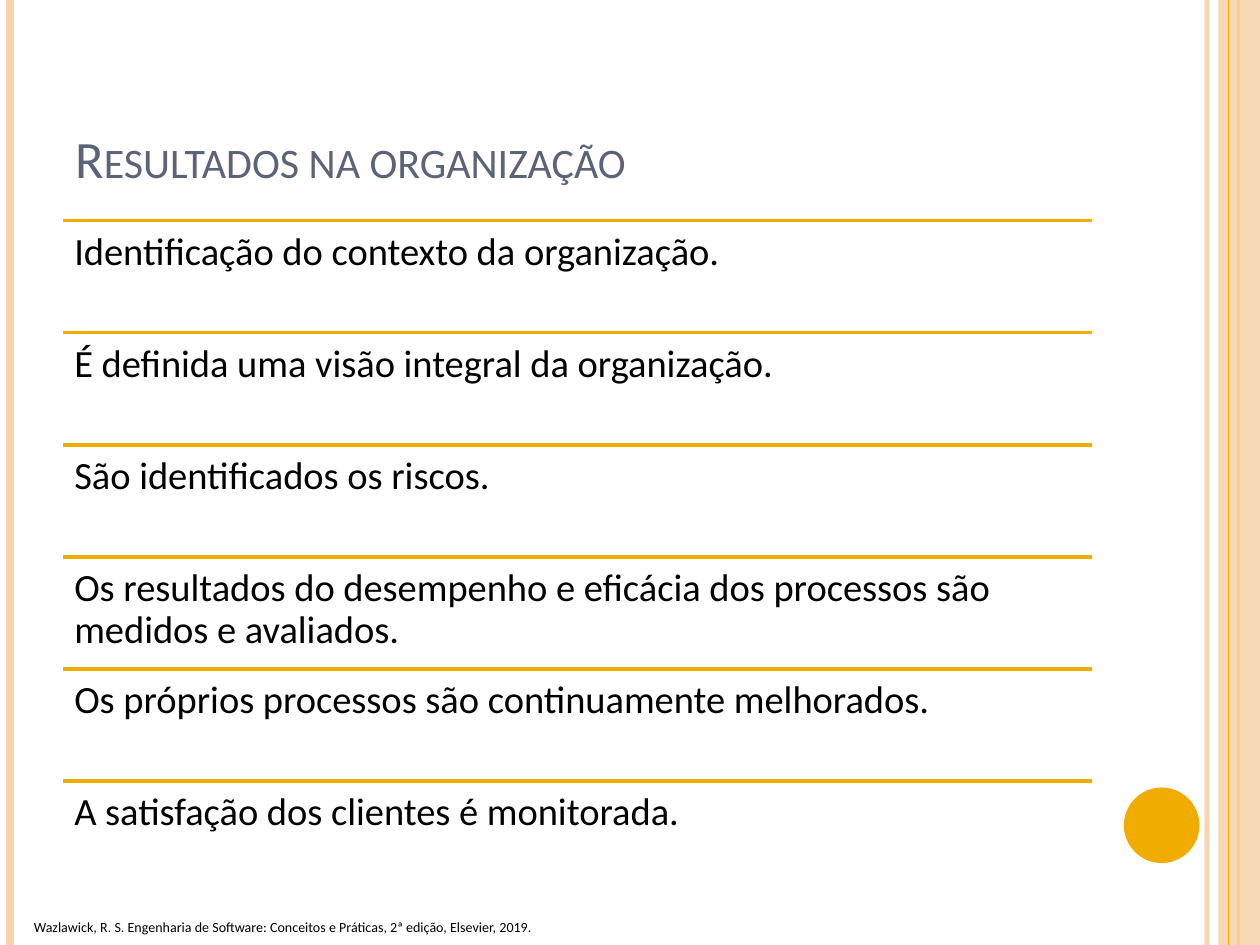
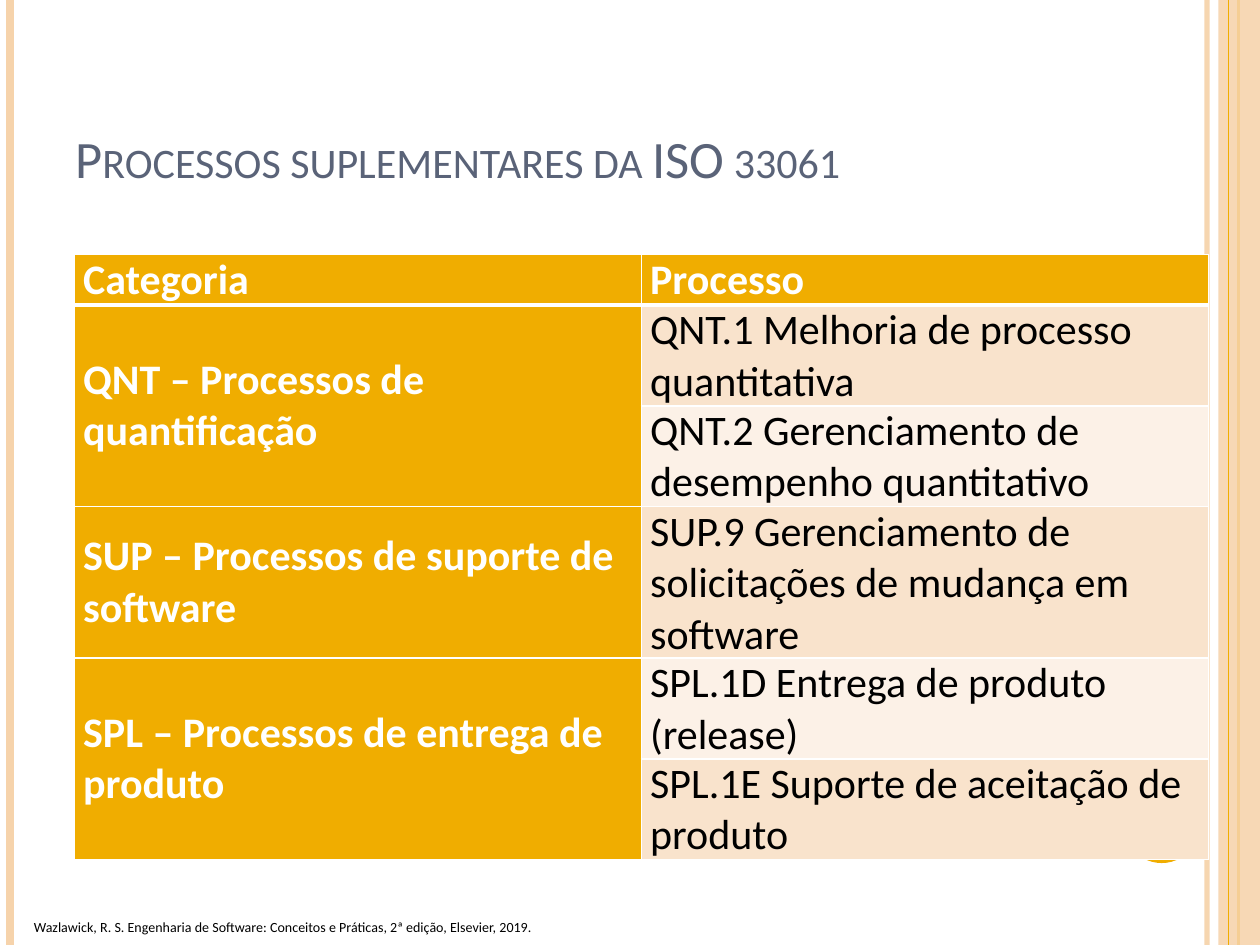
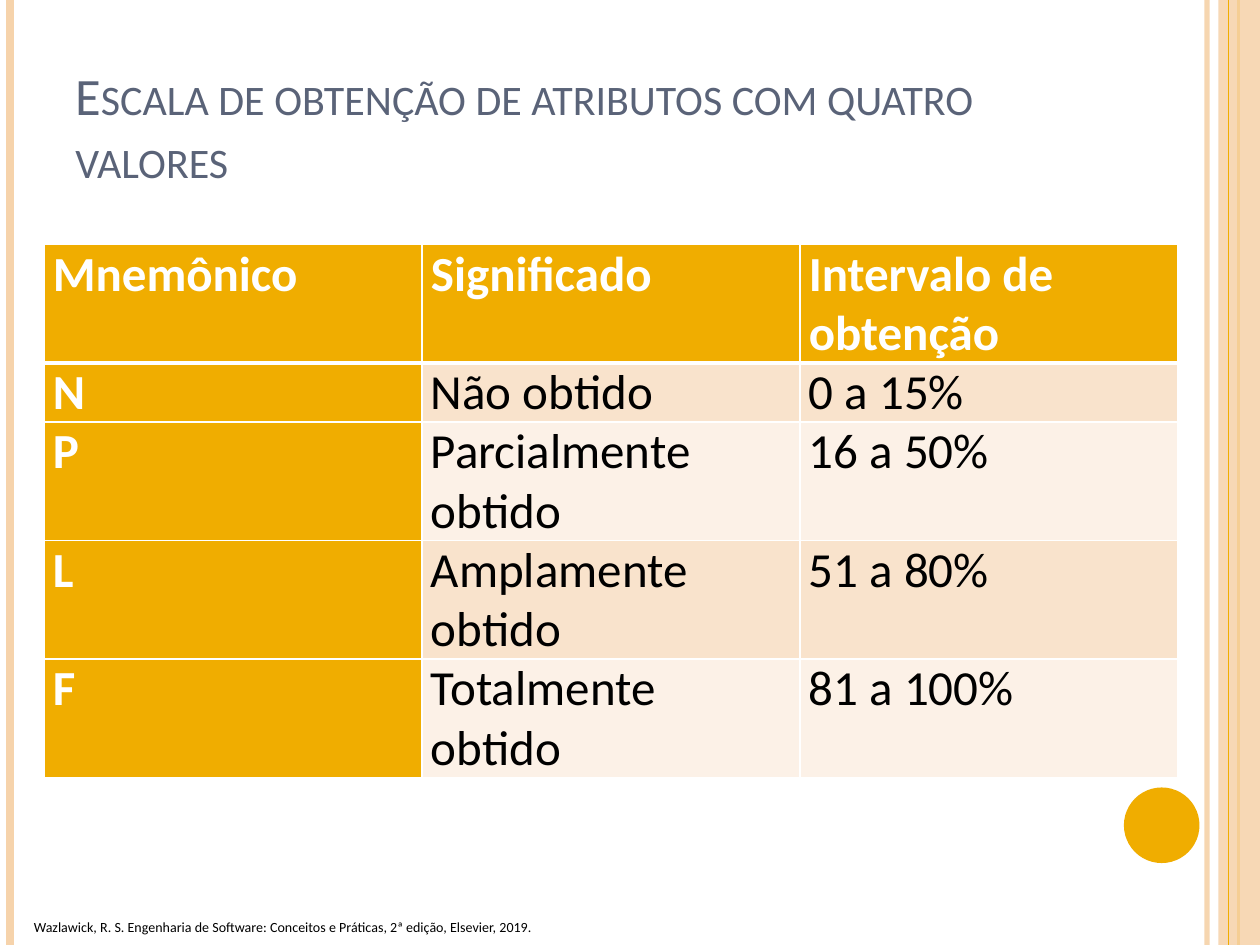
from lxml import etree
from pptx import Presentation
from pptx.dml.color import RGBColor
from pptx.enum.shapes import MSO_CONNECTOR, MSO_SHAPE
from pptx.enum.text import MSO_ANCHOR, MSO_AUTO_SIZE
from pptx.oxml.ns import qn
from pptx.util import Inches, Pt

COLORS = {
    "accent": "F0AD00",
    "peach": "F6D3AB",
    "title": "5A6378",
    "text": "000000",
    "white": "FFFFFF",
    "row_dark": "F9E3CC",
    "row_light": "FCF1E7",
}
FONT = "Calibri"
WIDTH, HEIGHT = 10, 7.5
LEFT, CONTENT_WIDTH = 0.5, 8.17
FOOTER = ("Wazlawick, R. S. Engenharia de Software: Conceitos e Práticas, "
          "2ª edição, Elsevier, 2019.")


def rgb(name):
    return RGBColor.from_string(COLORS[name])


def set_alpha(fill_parent, percent):
    color = fill_parent.find(".//" + qn("a:srgbClr"))
    etree.SubElement(color, qn("a:alpha"), val=str(percent * 1000))


class Deck:
    """Holds the shared style and the current slide."""

    def __init__(self):
        self.prs = Presentation()
        self.prs.slide_width = Inches(WIDTH)
        self.prs.slide_height = Inches(HEIGHT)
        self.slide = None

    def new_slide(self, title):
        self.slide = self.prs.slides.add_slide(self.prs.slide_layouts[6])
        # Side bands
        self.line(9.58, 0, 9.58, HEIGHT, "peach", 3, alpha=93)
        self.line(0.08, 0, 0.08, HEIGHT, "peach", 4.5)
        self.line(9.83, 0, 9.83, HEIGHT, "accent", 1.5)
        self.shape(MSO_SHAPE.RECTANGLE, 9.67, 0, 0.33, HEIGHT, "peach", alpha=87)
        self.line(9.75, 0, 9.75, HEIGHT, "accent", 0.75)
        self.shape(MSO_SHAPE.OVAL, 8.92, 6.25, 0.6, 0.6, "accent")
        # Footer and title
        footer = self.text(FOOTER, 0.17, 7.24, 4.83, 0.24, 8)
        footer.word_wrap = False
        footer.auto_size = MSO_AUTO_SIZE.SHAPE_TO_FIT_TEXT
        heading = self.text(title, LEFT, 0.3, CONTENT_WIDTH, 1.25, 30, "title")
        heading.vertical_anchor = MSO_ANCHOR.BOTTOM
        heading.paragraphs[0].runs[0]._r.get_or_add_rPr().set("cap", "small")

    def line(self, x1, y1, x2, y2, color, width, alpha=None):
        line = self.slide.shapes.add_connector(
            MSO_CONNECTOR.STRAIGHT, Inches(x1), Inches(y1), Inches(x2), Inches(y2))
        line.line.color.rgb = rgb(color)
        line.line.width = Pt(width)
        properties = line._element.spPr
        if alpha:
            set_alpha(properties, alpha)
        etree.SubElement(properties, qn("a:effectLst"))

    def shape(self, kind, x, y, w, h, color, alpha=None):
        shape = self.slide.shapes.add_shape(
            kind, Inches(x), Inches(y), Inches(w), Inches(h))
        shape.shadow.inherit = False
        shape.fill.solid()
        shape.fill.fore_color.rgb = rgb(color)
        shape.line.fill.background()
        if alpha:
            set_alpha(shape._element.spPr, alpha)

    def style(self, paragraph, size, color, bold=False):
        font = paragraph.font
        font.name, font.size, font.bold = FONT, Pt(size), bold
        font.color.rgb = rgb(color)

    def text(self, words, x, y, w, h, size, color="text"):
        frame = self.slide.shapes.add_textbox(
            Inches(x), Inches(y), Inches(w), Inches(h)).text_frame
        frame.word_wrap = True
        frame.text = words
        self.style(frame.paragraphs[0], size, color)
        return frame

    def ruled_list(self, items, top, pitch):
        for i, item in enumerate(items):
            y = top + i * pitch
            self.line(LEFT, y, LEFT + CONTENT_WIDTH, y, "accent", 2)
            frame = self.text(item, LEFT, y, CONTENT_WIDTH, pitch, 22)
            frame.margin_left = frame.margin_right = Inches(0.09)
            frame.margin_top = frame.margin_bottom = Inches(0.09)
            frame.paragraphs[0].line_spacing = 0.9

    def borders(self, cell, top, bottom):
        properties = cell._tc.get_or_add_tcPr()
        for side, width in (("L", 1), ("R", 1), ("T", top), ("B", bottom)):
            edge = etree.SubElement(properties, qn("a:ln" + side), w=str(Pt(width)))
            fill = etree.SubElement(edge, qn("a:solidFill"))
            etree.SubElement(fill, qn("a:srgbClr"), val=COLORS["white"])

    def table(self, rows, x, y, line_counts, line_height, size, anchor):
        """First row and column are headings; None continues the cell above."""
        columns = len(rows[0])
        table = self.slide.shapes.add_table(
            len(rows), columns, Inches(x), Inches(y), Inches(9),
            Inches(sum(line_counts) * line_height)).table
        table.first_row = table.horz_banding = False
        for r, row in enumerate(rows):
            table.rows[r].height = Inches(line_counts[r] * line_height)
            for c, words in enumerate(row):
                cell = table.cell(r, c)
                heading = r == 0 or c == 0
                band = "row_dark" if r % 2 else "row_light"
                self.borders(cell, 3 if r == 1 else 1, 3 if r == 0 else 1)
                cell.fill.solid()
                cell.fill.fore_color.rgb = rgb("accent" if heading else band)
                cell.margin_left = cell.margin_right = Inches(0.07)
                cell.margin_top = cell.margin_bottom = 0
                cell.vertical_anchor = anchor
                if words is None:
                    table.cell(r - 1, c).merge(cell)
                else:
                    cell.text = words
                self.style(cell.text_frame.paragraphs[0], size,
                           "white" if heading else "text", heading)


def main():
    deck = Deck()

    # Results in the organization
    deck.new_slide("Resultados na organização")
    deck.ruled_list([
        "Identificação do contexto da organização.",
        "É definida uma visão integral da organização.",
        "São identificados os riscos.",
        "Os resultados do desempenho e eficácia dos processos são medidos e avaliados.",
        "Os próprios processos são continuamente melhorados.",
        "A satisfação dos clientes é monitorada.",
    ], top=1.75, pitch=0.89)

    # Supplementary processes
    deck.new_slide("Processos suplementares da ISO 33061")
    deck.table([
        ("Categoria", "Processo"),
        ("QNT – Processos de quantificação", "QNT.1 Melhoria de processo quantitativa"),
        (None, "QNT.2 Gerenciamento de desempenho quantitativo"),
        ("SUP – Processos de suporte de software",
         "SUP.9 Gerenciamento de solicitações de mudança em software"),
        ("SPL – Processos de entrega de produto", "SPL.1D Entrega de produto (release)"),
        (None, "SPL.1E Suporte de aceitação de produto"),
    ], 0.59, 2.02, (1, 2, 2, 3, 2, 2), 0.4, 24, MSO_ANCHOR.MIDDLE)

    # Attribute scale
    deck.new_slide("Escala de obtenção de atributos com quatro valores")
    deck.table([
        ("Mnemônico", "Significado", "Intervalo de obtenção"),
        ("N", "Não obtido", "0 a 15%"),
        ("P", "Parcialmente obtido", "16 a 50%"),
        ("L", "Amplamente obtido", "51 a 80%"),
        ("F", "Totalmente obtido", "81 a 100%"),
    ], 0.35, 1.94, (2, 1, 2, 2, 2), 0.47, 28, MSO_ANCHOR.TOP)

    deck.prs.save("out.pptx")


if __name__ == "__main__":
    main()
